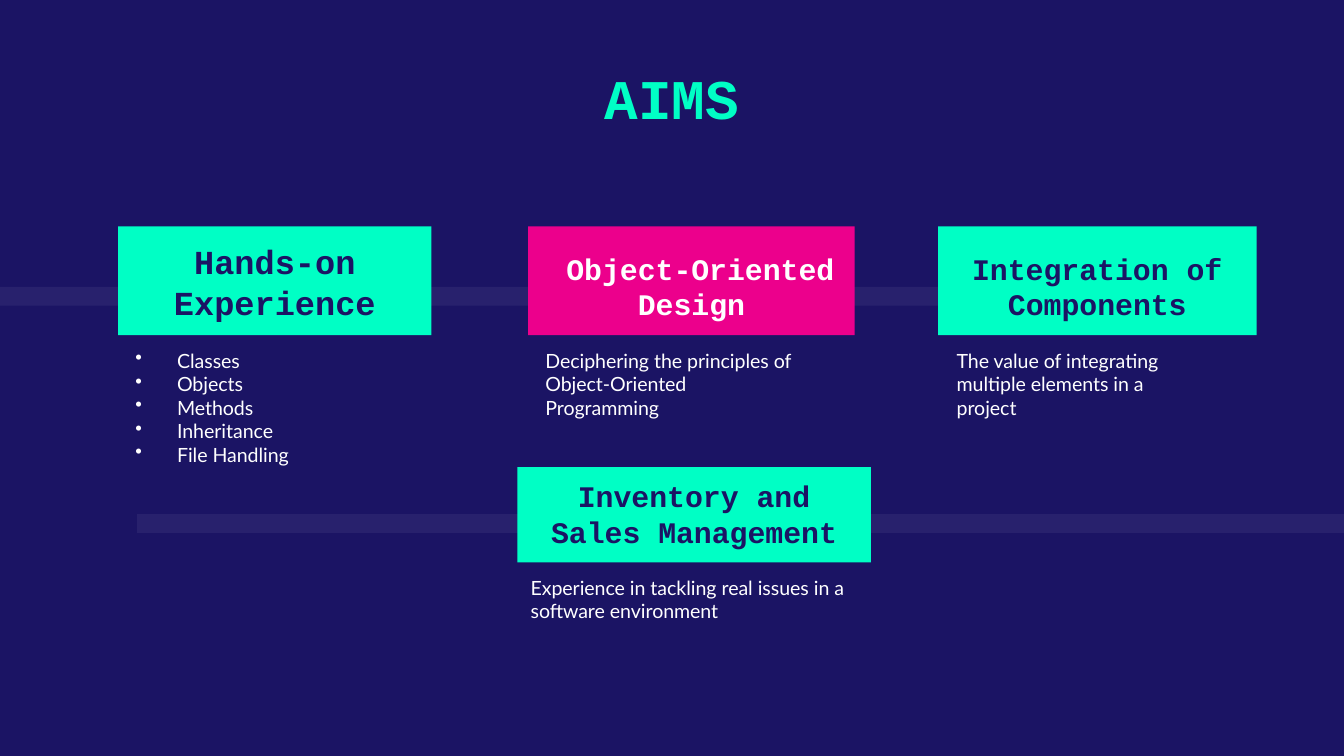
from pptx import Presentation
from pptx.dml.color import RGBColor
from pptx.enum.shapes import MSO_SHAPE
from pptx.enum.text import MSO_ANCHOR, PP_ALIGN
from pptx.oxml.ns import qn
from pptx.util import Pt
from lxml import etree

RECTANGLE = MSO_SHAPE.RECTANGLE
TOP, BOTTOM = MSO_ANCHOR.TOP, MSO_ANCHOR.BOTTOM
LEFT, CENTER = PP_ALIGN.LEFT, PP_ALIGN.CENTER

EMU_PER_PX = 4572
PADDING = 20
BULLET_INDENT = 62
BODY_HEIGHT = 146
COLORS = {"navy": "1B1464", "mint": "00FFC5", "pink": "EC008C", "white": "FFFFFF"}
MONO, SANS = "Courier New", "Lato"


def emu(*lengths):
    """Turn px lengths into EMU."""
    return [length * EMU_PER_PX for length in lengths]


def color(name):
    """Look up a named colour."""
    return RGBColor.from_string(COLORS[name])


def add_rectangle(page, box, fill):
    """Draw a plain filled rectangle."""
    shape = page.shapes.add_shape(RECTANGLE, *emu(*box))
    shape.shadow.inherit = False
    shape.fill.solid()
    shape.fill.fore_color.rgb = color(fill)
    shape.line.fill.background()
    return shape


def add_band(page, box):
    """Draw a faint horizontal band."""
    band = add_rectangle(page, box, "white")
    tint = band.fill._xPr.find(qn("a:solidFill"))[0]
    etree.SubElement(tint, qn("a:alpha"), val="6000")


def add_bullet(para):
    """Give a paragraph a white bullet and a hanging indent."""
    (indent,) = emu(BULLET_INDENT)
    properties = para._p.get_or_add_pPr()
    properties.set("marL", str(indent))
    properties.set("indent", str(-indent))
    tint = etree.SubElement(properties, qn("a:buClr"))
    etree.SubElement(tint, qn("a:srgbClr"), val=COLORS["white"])
    etree.SubElement(properties, qn("a:buChar"), char="•")


def write(shape, lines, font, size, ink, align=LEFT, anchor=TOP):
    """Write lines into a shape, bulleted when there are several."""
    frame = shape.text_frame
    frame.word_wrap = True
    frame.vertical_anchor = anchor
    (margin,) = emu(PADDING)
    frame.margin_left = frame.margin_right = margin
    frame.margin_top = frame.margin_bottom = margin
    frame.text = "\n".join(lines)
    for para in frame.paragraphs:
        para.alignment = align
        if len(lines) > 1:
            add_bullet(para)
        for span in para.runs:
            span.font.name = font
            span.font.size = Pt(size)
            span.font.bold = font == MONO
            span.font.color.rgb = color(ink)


def add_title(page, box, text):
    """Place the slide title."""
    write(page.shapes.add_textbox(*emu(*box)), [text], MONO, 30, "mint", CENTER)


def add_aim(page, box, heading, size, fill, ink, body_shift, body_width, lines):
    """Place a coloured heading with its explanation right below."""
    left, top, width, height = box
    panel = add_rectangle(page, box, fill)
    write(panel, [heading], MONO, size, ink, CENTER, BOTTOM)
    body_box = (left + body_shift, top + height, body_width, BODY_HEIGHT)
    write(page.shapes.add_textbox(*emu(*body_box)), lines, SANS, 10.5, "white")


def main():
    """Build and save the deck."""
    deck = Presentation()
    deck.slide_width, deck.slide_height = emu(2000, 1125)
    page = deck.slides.add_slide(deck.slide_layouts[6])
    page.background.fill.solid()
    page.background.fill.fore_color.rgb = color("navy")

    add_band(page, (0, 427, 1704, 28))
    add_band(page, (204, 765, 1796, 28))
    add_title(page, (280, 74, 1440, 146), "AIMS")

    aims = [
        ((176, 337, 466, 162), "Hands-on Experience", 18, "mint", "navy", 6, 414,
         ["Classes", "Objects", "Methods", "Inheritance", "File Handling"]),
        ((786, 337, 486, 162), " Object-Oriented Design", 16, "pink", "white", 6, 414,
         ["Deciphering the principles of Object-Oriented Programming"]),
        ((1396, 337, 474, 162), "Integration of Components", 16, "mint", "navy", 8, 414,
         ["The value of integrating multiple elements in a project"]),
        ((770, 695, 526, 142), "Inventory and Sales Management", 16, "mint", "navy", 0, 526,
         ["Experience in tackling real issues in a software environment"]),
    ]
    for aim in aims:
        add_aim(page, *aim)

    deck.save("out.pptx")


if __name__ == "__main__":
    main()
